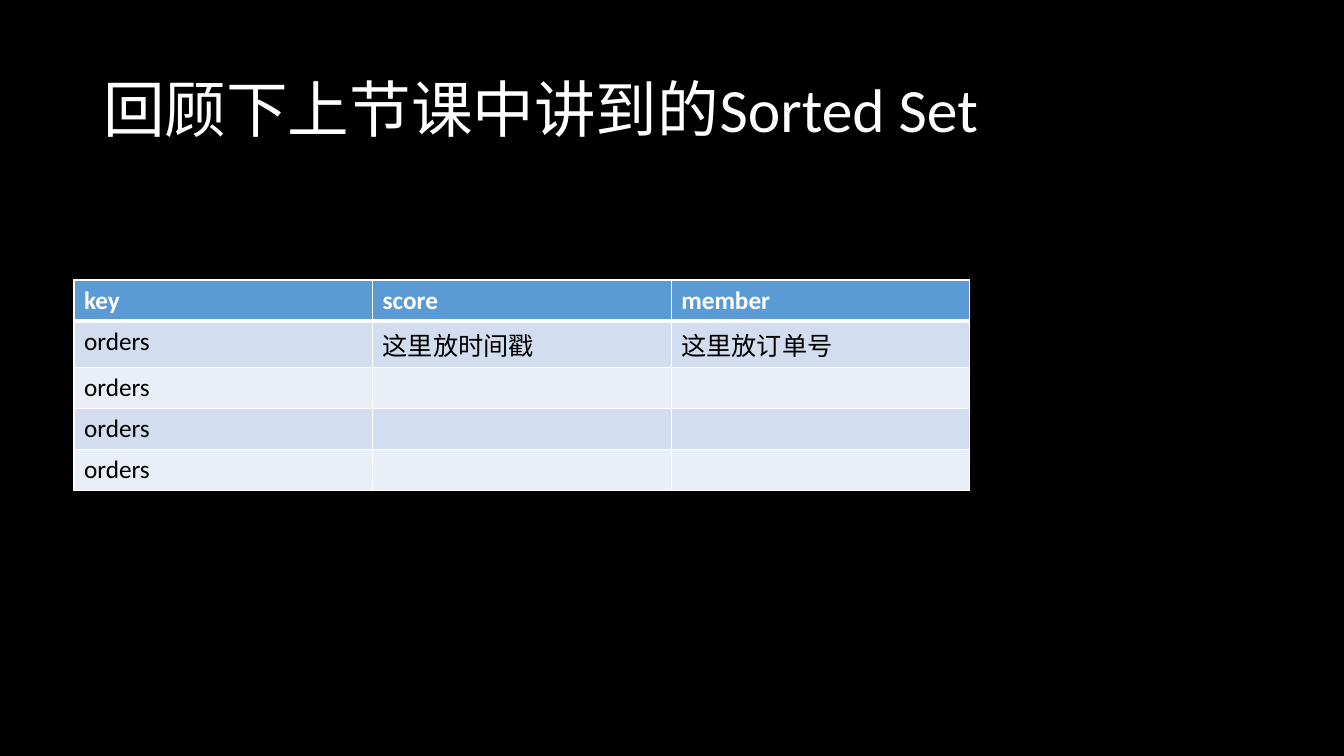
import lxml.etree
import pptx
import pptx.dml.color
import pptx.enum.text
import pptx.oxml.ns
import pptx.util

SCALE = 914400 / 100.8
COLOURS = {
    "background": "000000",
    "light": "FFFFFF",
    "dark": "000000",
    "header": "5B9BD5",
    "odd": "D2DEEF",
    "even": "EAEFF7",
}
TITLE_FONT = {"name": "Calibri", "size": pptx.util.Pt(44), "bold": False}
HEADER_FONT = {"name": "Calibri", "size": pptx.util.Pt(18), "bold": True}
BODY_FONT = {**HEADER_FONT, "bold": False}
TITLE_FRAME = {
    "word_wrap": True,
    "auto_size": pptx.enum.text.MSO_AUTO_SIZE.NONE,
    "vertical_anchor": pptx.enum.text.MSO_ANCHOR.MIDDLE,
}
TITLE_PARA = {"alignment": pptx.enum.text.PP_ALIGN.LEFT, "line_spacing": 0.9}
ROWS = [
    ["key", "score", "member"],
    ["orders", "这里放时间戳", "这里放订单号"],
    ["orders", "", ""],
    ["orders", "", ""],
    ["orders", "", ""],
]


def emu(px):
    """Turn px into EMU."""
    return pptx.util.Emu(round(px * SCALE))


def colour(name):
    """Return a named colour."""
    return pptx.dml.color.RGBColor.from_string(COLOURS[name])


def apply(target, formats):
    """Set every format value on the target."""
    for name, value in formats.items():
        setattr(target, name, value)


def style_font(para, formats, colour_name):
    """Format the font of a paragraph."""
    apply(para.font, formats)
    para.font.color.rgb = colour(colour_name)


def paint(fill, name):
    """Fill with one solid colour."""
    fill.solid()
    fill.fore_color.rgb = colour(name)


def add_borders(cell, widths):
    """Draw light borders whose widths in points are keyed by side."""
    properties = cell._tc.get_or_add_tcPr()
    for index, side in enumerate("LRTB"):
        line = lxml.etree.Element(
            pptx.oxml.ns.qn(f"a:ln{side}"), w=str(pptx.util.Pt(widths[side]))
        )
        solid = lxml.etree.SubElement(line, pptx.oxml.ns.qn("a:solidFill"))
        lxml.etree.SubElement(
            solid, pptx.oxml.ns.qn("a:srgbClr"), val=COLOURS["light"]
        )
        properties.insert(index, line)


def place_title(page, left, top, width, height):
    """Place and format the title."""
    box = page.shapes.title
    apply(box, {"left": emu(left), "top": emu(top),
                "width": emu(width), "height": emu(height)})
    apply(box.text_frame, TITLE_FRAME)
    box.text_frame.text = "回顾下上节课中讲到的Sorted Set"
    para = box.text_frame.paragraphs[0]
    apply(para, TITLE_PARA)
    style_font(para, TITLE_FONT, "light")


def place_table(page, left, top, width, height):
    """Place the sorted set table with equal rows and columns."""
    table = page.shapes.add_table(
        len(ROWS), len(ROWS[0]), emu(left), emu(top), emu(width), emu(height)
    ).table
    for row_index, texts in enumerate(ROWS):
        is_header = row_index == 0
        band = "header" if is_header else "odd" if row_index % 2 else "even"
        widths = {"L": 1, "R": 1, "T": 3 if row_index == 1 else 1,
                  "B": 3 if is_header else 1}
        for column_index, text in enumerate(texts):
            cell = table.cell(row_index, column_index)
            cell.text = text
            paint(cell.fill, band)
            add_borders(cell, widths)
            style_font(
                cell.text_frame.paragraphs[0],
                HEADER_FONT if is_header else BODY_FONT,
                "light" if is_header else "dark",
            )


def main():
    """Build the slide and save it."""
    deck = pptx.Presentation()
    apply(deck, {"slide_width": emu(1344), "slide_height": emu(756)})
    page = deck.slides.add_slide(deck.slide_layouts[5])
    paint(page.background.fill, "background")
    place_title(page, 93, 40, 1159, 146)
    place_table(page, 74, 280, 896, 205)
    deck.save("out.pptx")


if __name__ == "__main__":
    main()
